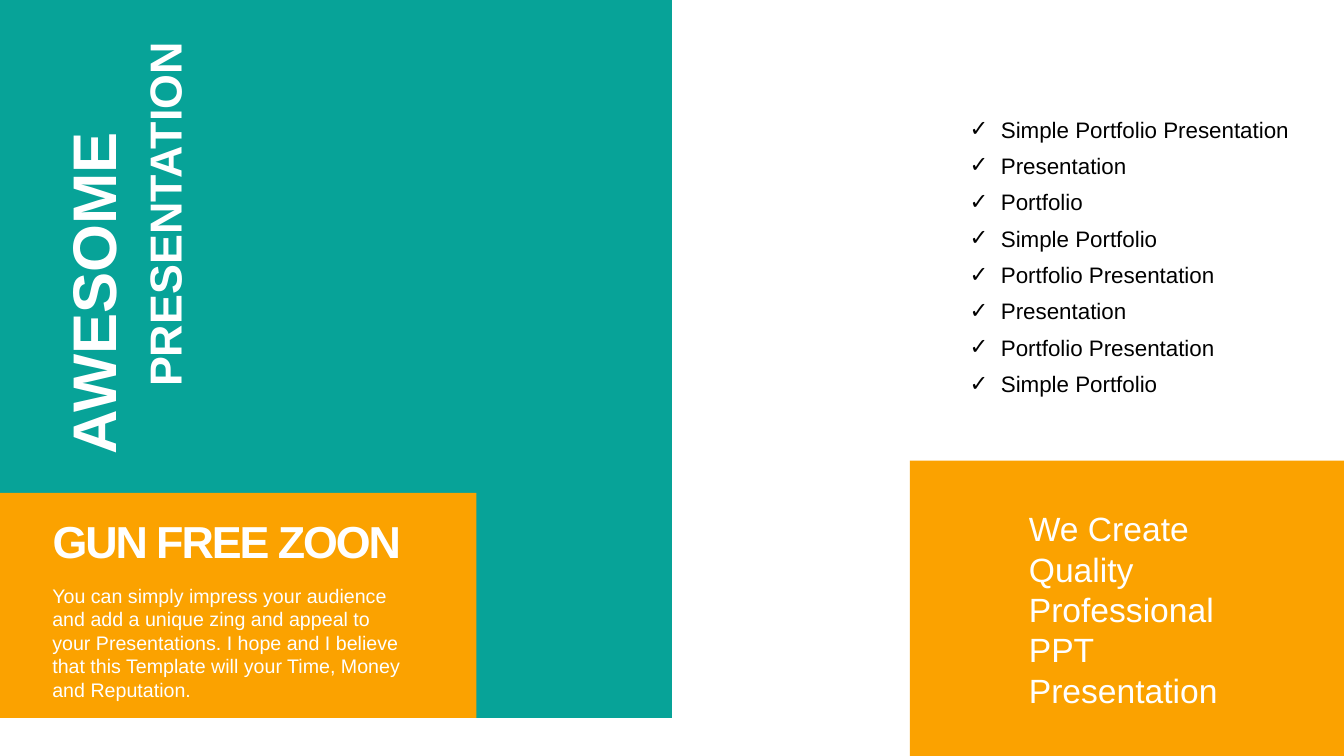
from lxml import etree
from pptx import Presentation
from pptx import util as u
from pptx.dml.color import RGBColor
from pptx.enum import shapes, text
from pptx.oxml import ns

TEAL = RGBColor(0x07, 0xA3, 0x98)
ORANGE = RGBColor(0xFB, 0xA2, 0x00)
WHITE = RGBColor(0xFF, 0xFF, 0xFF)
BLACK = RGBColor(0x00, 0x00, 0x00)

WIDTH, HEIGHT = 33.87, 19.05
CHECKLIST = [
    "Simple Portfolio Presentation", "Presentation", "Portfolio",
    "Simple Portfolio", "Portfolio Presentation", "Presentation",
    "Portfolio Presentation", "Simple Portfolio",
]


def put(part, box):
    """Move a part to a box of left, top, width, height in centimetres."""
    for side, length in zip(("left", "top", "width", "height"), box):
        setattr(part, side, u.Cm(length))


def add_panel(slide, box, color):
    panel = slide.shapes.add_shape(
        shapes.MSO_SHAPE.RECTANGLE, *(u.Cm(length) for length in box))
    panel.shadow.inherit = False
    panel.fill.solid()
    panel.fill.fore_color.rgb = color
    panel.line.fill.background()


def write(part, lines, size, color=WHITE, bold=False, frame_format=None,
          **paragraph_format):
    """Fill a text part with one paragraph per line."""
    frame = part.text_frame
    frame_values = {
        "word_wrap": True,
        "auto_size": text.MSO_AUTO_SIZE.SHAPE_TO_FIT_TEXT,
        "vertical_anchor": text.MSO_ANCHOR.TOP,
        **(frame_format or {}),
    }
    for name, value in frame_values.items():
        setattr(frame, name, value)
    frame.text = "\n".join(lines)
    paragraph_values = {"alignment": text.PP_ALIGN.LEFT, **paragraph_format}
    font_values = {"name": "Arial", "size": u.Pt(size), "bold": bold}
    for paragraph in frame.paragraphs:
        for name, value in paragraph_values.items():
            setattr(paragraph, name, value)
        for run in paragraph.runs:
            for name, value in font_values.items():
                setattr(run.font, name, value)
            run.font.color.rgb = color


def add_text(slide, box, lines, size, **formats):
    words = slide.shapes.add_textbox(*(u.Cm(length) for length in box))
    write(words, lines, size, **formats)
    return words


def add_cover(slide, box):
    """Teal block with the two lines that read upwards."""
    left, top, _, _ = box
    add_panel(slide, box, TEAL)
    for word, size, dx, dy, height in (
            ("AWESOME", 44, -2.31, 5.99, 2.13),
            ("PRESENTATION", 32, -0.51, 4.55, 1.63)):
        upright = add_text(
            slide, (left + dx, top + dy, 9.27, height), [word], size,
            bold=True, alignment=text.PP_ALIGN.JUSTIFY,
            frame_format={"vertical_anchor": text.MSO_ANCHOR.MIDDLE})
        upright.rotation = 270


def add_intro(slide, box):
    """Orange block with the slide title and its paragraph."""
    left, top, _, _ = box
    add_panel(slide, box, ORANGE)
    title = slide.shapes.title
    # Bring the title in front of the panels
    title.element.getparent().append(title.element)
    put(title, (left + 1.07, top + 0.38, 9.53, 1.63))
    write(title, ["GUN FREE ZOON"], 32, bold=True,
          frame_format={"vertical_anchor": text.MSO_ANCHOR.MIDDLE})
    # Tighter letter spacing, in hundredths of a point
    title.text_frame.paragraphs[0].runs[0].font._element.set("spc", "-150")
    add_text(slide, (left + 1.07, top + 2.16, 9.53, 3.25), [
        "You can simply impress your audience and add a unique zing and "
        "appeal to your Presentations. I hope and I believe that this "
        "Template will your Time, Money and Reputation."], 14)


def add_checklist(slide, box):
    """Ticked list in the body placeholder."""
    checklist = slide.placeholders[1]
    put(checklist, box)
    write(checklist, CHECKLIST, 16, color=BLACK,
          frame_format={"auto_size": text.MSO_AUTO_SIZE.NONE},
          line_spacing=0.8, space_before=u.Pt(0), space_after=u.Pt(10.6))
    indent = u.Cm(0.79)
    for paragraph in checklist.text_frame.paragraphs:
        properties = paragraph._p.get_or_add_pPr()
        properties.set("marL", str(indent))
        properties.set("indent", str(-indent))
        etree.SubElement(properties, ns.qn("a:buFont"), typeface="Arial")
        etree.SubElement(properties, ns.qn("a:buChar"), char="✓")


def add_promise(slide, box):
    """Orange block in the lower right corner."""
    left, top, _, _ = box
    add_panel(slide, box, ORANGE)
    add_text(slide, (left + 2.9, top + 1.17, 5.13, 5.13),
             ["We Create", "Quality Professional", "PPT Presentation"], 24,
             frame_format={"vertical_anchor": text.MSO_ANCHOR.MIDDLE,
                           "margin_left": u.Cm(0.1),
                           "margin_right": u.Cm(0.1),
                           "margin_top": 0, "margin_bottom": 0})


def main():
    deck = Presentation()
    deck.slide_width, deck.slide_height = u.Cm(WIDTH), u.Cm(HEIGHT)
    slide = deck.slides.add_slide(deck.slide_layouts[1])
    add_cover(slide, (0, 0, WIDTH / 2, 18.09))
    add_intro(slide, (0, 12.42, 12.01, 5.67))
    add_promise(slide, (22.93, 11.61, WIDTH - 22.93, HEIGHT - 11.61))
    add_checklist(slide, (24.18, 2.92, 9.12, 7.06))
    deck.save("out.pptx")


if __name__ == "__main__":
    main()
